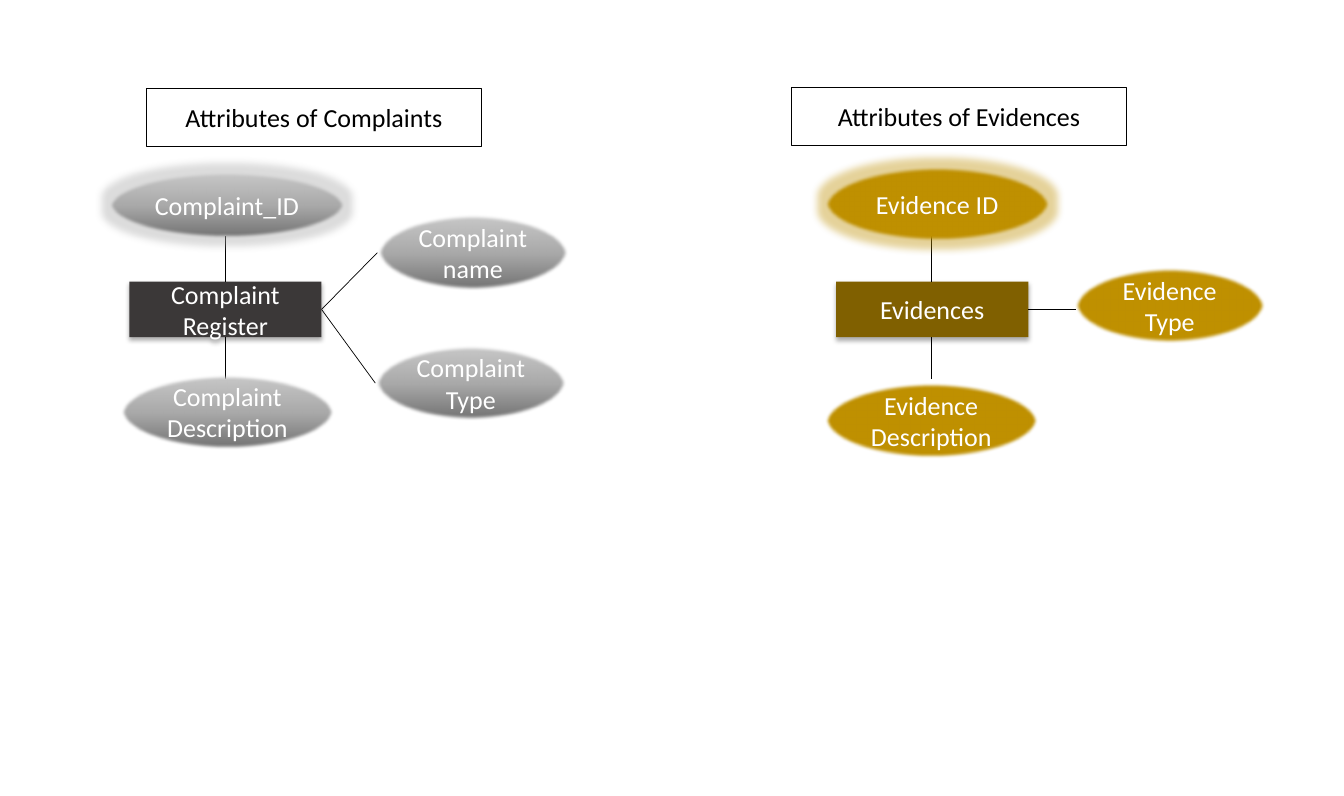
from lxml import etree
from pptx import Presentation
from pptx import util as u
from pptx.dml.color import RGBColor
from pptx.enum import shapes, text
from pptx.oxml import parse_xml
from pptx.oxml.ns import nsdecls, qn

COLUMNS, ROWS = 13.5, 8
WHITE = RGBColor(0xFF, 0xFF, 0xFF)
BLACK = RGBColor(0, 0, 0)
CHARCOAL = RGBColor(0x3B, 0x38, 0x38)
BROWN = RGBColor(0x80, 0x60, 0x00)
GOLD = RGBColor(0xBF, 0x90, 0x00)
DARK_GREY = RGBColor(0x6F, 0x6F, 0x6F)
GREY = RGBColor(0xA8, 0xA8, 0xA8)
LIGHT_GREY = RGBColor(0xC9, 0xC9, 0xC9)
GREY_GRADIENT = ((0, DARK_GREY), (48, GREY), (100, LIGHT_GREY))

SHADOW = ('<a:outerShdw blurRad="44450" dist="27940" dir="5400000" algn="ctr">'
          '<a:srgbClr val="000000"><a:alpha val="32000"/></a:srgbClr></a:outerShdw>')
SOFT_EDGE = '<a:softEdge rad="31750"/>'
GLOW = ('<a:glow rad="139700"><a:srgbClr val="{}">'
        '<a:alpha val="40000"/></a:srgbClr></a:glow>')


class Diagram:
    """Draws entities and their attributes on a grid of the slide."""

    font_name, font_size = "Calibri", u.Pt(18.8)

    def __init__(self, presentation):
        self.slide = presentation.slides.add_slide(presentation.slide_layouts[6])
        self.column = presentation.slide_width / COLUMNS
        self.row = presentation.slide_height / ROWS

    def place(self, x, y):
        return round(x * self.column), round(y * self.row)

    def set_effects(self, shape, effects=""):
        properties = shape._element.spPr
        for old in properties.findall(qn("a:effectLst")):
            properties.remove(old)
        properties.append(parse_xml(
            f'<a:effectLst {nsdecls("a")}>{effects}</a:effectLst>'))

    def set_gradient(self, shape, stops):
        """Fill from the bottom edge upwards."""
        shape.fill.gradient()
        shape.fill.gradient_angle = 90
        stop_list = shape._element.spPr.find(qn("a:gradFill")).find(qn("a:gsLst"))
        for old in list(stop_list):
            stop_list.remove(old)
        for position, color in stops:
            stop = etree.SubElement(stop_list, qn("a:gs"), pos=str(position * 1000))
            etree.SubElement(stop, qn("a:srgbClr"), val=str(color))

    def add_box(self, kind, label, at, color=WHITE):
        left, top, width, height = at
        shape = self.slide.shapes.add_shape(
            kind, *self.place(left, top), *self.place(width, height))
        shape.shadow.inherit = False
        shape.fill.background()
        shape.line.fill.background()
        frame = shape.text_frame
        frame.word_wrap = True
        frame.vertical_anchor = text.MSO_ANCHOR.MIDDLE
        frame.text = label
        for paragraph in frame.paragraphs:
            paragraph.alignment = text.PP_ALIGN.CENTER
            font = paragraph.runs[0].font
            font.name, font.size = self.font_name, self.font_size
            font.color.rgb = color
        return shape

    def heading(self, label, left, top):
        shape = self.add_box(shapes.MSO_SHAPE.RECTANGLE, label,
                             (left, top, 3.37, 0.58), BLACK)
        shape.line.color.rgb = BLACK
        shape.line.width = u.Pt(0.75)

    def entity(self, label, left, fill):
        shape = self.add_box(shapes.MSO_SHAPE.RECTANGLE, label,
                             (left, 2.83, 1.93, 0.56))
        shape.fill.solid()
        shape.fill.fore_color.rgb = fill
        self.set_effects(shape, SHADOW)

    def attribute(self, label, at, fill, glow=None):
        shape = self.add_box(shapes.MSO_SHAPE.OVAL, label, at)
        if isinstance(fill, RGBColor):
            shape.fill.solid()
            shape.fill.fore_color.rgb = fill
        else:
            self.set_gradient(shape, fill)
        halo = GLOW.format(glow) if glow is not None else ""
        self.set_effects(shape, halo + SOFT_EDGE)

    def link(self, start, end):
        line = self.slide.shapes.add_connector(
            shapes.MSO_CONNECTOR.STRAIGHT, *self.place(*start), *self.place(*end))
        line.line.color.rgb = BLACK
        line.line.width = u.Pt(0.5)
        self.set_effects(line)

    def group(self, heading, entity, fill, attribute_fill, glow, key,
              attributes, side_ends):
        """Draw one entity with its key above and its attributes around it."""
        label, left = entity
        middle, right = left + 0.96, left + 1.93
        self.heading(*heading)
        self.entity(label, left, fill)
        self.link((middle, 2.83), (middle, 2.37))
        self.link((middle, 3.39), (middle, 3.81))
        for end in side_ends:
            self.link((right, 3.11), end)
        self.attribute(*key, attribute_fill, glow)
        for name, x, y, width in attributes:
            self.attribute(name, (x, y, width, 0.76), attribute_fill)


def main():
    presentation = Presentation()
    presentation.slide_width = u.Inches(COLUMNS)
    presentation.slide_height = u.Inches(ROWS)
    diagram = Diagram(presentation)
    diagram.group(
        heading=("Attributes of Complaints", 1.47, 0.89),
        entity=("Complaint\nRegister", 1.3),
        fill=CHARCOAL, attribute_fill=GREY_GRADIENT, glow=GREY,
        key=("Complaint_ID", (1.09, 1.72, 2.38, 0.68)),
        attributes=[("Complaint\nname", 3.79, 2.16, 1.92),
                    ("Complaint Type", 3.77, 3.47, 1.92),
                    ("Complaint Description", 1.21, 3.76, 2.15)],
        side_ends=[(3.79, 2.54), (3.77, 3.85)])
    diagram.group(
        heading=("Attributes of Evidences", 7.95, 0.88),
        entity=("Evidences", 8.4),
        fill=BROWN, attribute_fill=GOLD, glow=GOLD,
        key=("Evidence ID", (8.28, 1.67, 2.27, 0.76)),
        attributes=[("Evidence Type", 10.79, 2.69, 1.92),
                    ("Evidence Description", 8.28, 3.85, 2.15)],
        side_ends=[(10.81, 3.11)])
    presentation.save("out.pptx")


if __name__ == "__main__":
    main()
